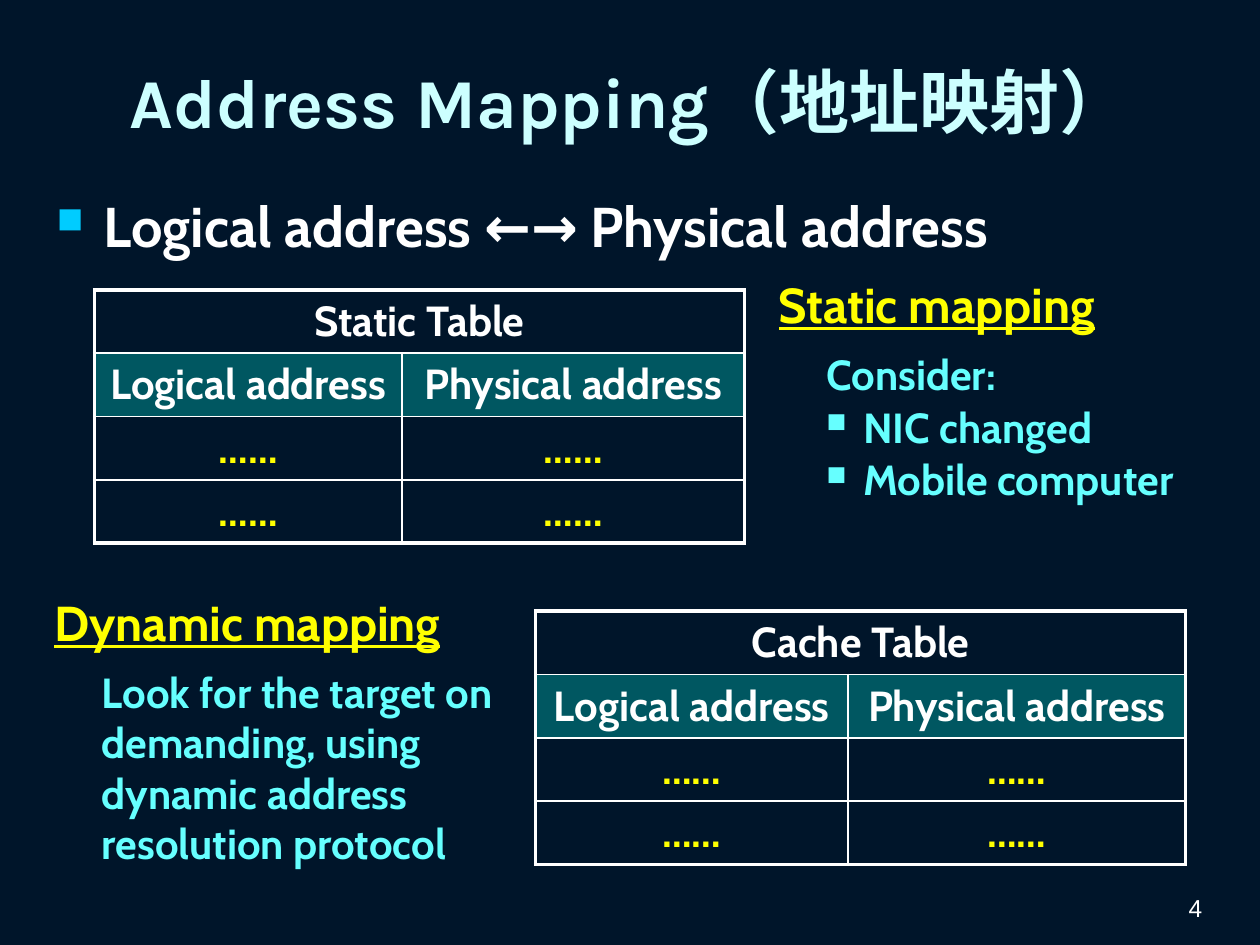
from dataclasses import dataclass
from typing import Any, Optional

import lxml.etree
import pptx
import pptx.dml.color
import pptx.enum.text
import pptx.oxml.ns
import pptx.util

Pt = pptx.util.Pt
qn = pptx.oxml.ns.qn
Align = pptx.enum.text.PP_ALIGN
Anchor = pptx.enum.text.MSO_ANCHOR
AutoSize = pptx.enum.text.MSO_AUTO_SIZE


@dataclass(frozen=True)
class Style:
    size: float
    color: str
    font: str = "Cabin"
    bold: bool = True
    underline: Optional[bool] = None


@dataclass(frozen=True)
class Theme:
    background: str = "00152A"
    line: str = "FFFFFF"
    header_fill: str = "009999"
    header_alpha: int = 50
    outer_width: float = 2.25
    inner_width: float = 1
    bullet_percent: int = 65
    body_bullet: str = "00CCFF"
    title: Style = Style(40, "CCFFFF", "Karla")
    body: Style = Style(32, "FFFFFF")
    heading: Style = Style(28, "FFFF00", underline=True)
    detail: Style = Style(24, "66FFFF")
    label: Style = Style(24, "FFFFFF")
    entry: Style = Style(24, "FFFF00")
    number: Style = Style(14, "FFFFFF", "Arial", bold=False)


THEME = Theme()


@dataclass(frozen=True)
class Line:
    text: str
    bullet: bool = False
    bullet_color: Optional[str] = None
    hang: float = 0
    space_before: float = 0


@dataclass(frozen=True)
class TextBlock:
    box: tuple[float, float, float, float]
    lines: tuple[Line, ...]
    style: Style
    align: Any = Align.LEFT
    anchor: Any = Anchor.TOP
    inset: bool = True
    grow: bool = False


@dataclass(frozen=True)
class MappingTable:
    title: str
    left: float
    top: float
    columns: tuple[float, float]
    row_height: float = 36.2


def rgb(value: str) -> pptx.dml.color.RGBColor:
    return pptx.dml.color.RGBColor.from_string(value)


def set_all(target: Any, values: dict[str, Any]) -> None:
    for name, value in values.items():
        setattr(target, name, value)


def add_xml(parent: Any, tag: str, **attributes: str) -> Any:
    return lxml.etree.SubElement(parent, qn(tag), attributes)


def write(paragraph: Any, text: str, style: Style, align: Any) -> None:
    paragraph.alignment = align
    run = paragraph.add_run()
    run.text = text
    set_all(run.font, {"name": style.font, "size": Pt(style.size),
                       "bold": style.bold, "underline": style.underline})
    run.font.color.rgb = rgb(style.color)


def format_line(paragraph: Any, line: Line) -> None:
    if line.space_before:
        paragraph.space_before = Pt(line.space_before)
    properties = paragraph._p.get_or_add_pPr()
    if line.hang:
        properties.set("marL", str(Pt(line.hang)))
        properties.set("indent", str(-Pt(line.hang)))
    if line.bullet:
        if line.bullet_color:
            add_xml(add_xml(properties, "a:buClr"), "a:srgbClr", val=line.bullet_color)
        add_xml(properties, "a:buSzPct", val=str(THEME.bullet_percent * 1000))
        add_xml(properties, "a:buChar", char="■")


def draw_text(slide: Any, block: TextBlock) -> None:
    frame = slide.shapes.add_textbox(*map(Pt, block.box)).text_frame
    set_all(frame, {"word_wrap": True, "vertical_anchor": block.anchor,
                    "auto_size": AutoSize.SHAPE_TO_FIT_TEXT if block.grow else AutoSize.NONE})
    if not block.inset:
        set_all(frame, {f"margin_{side}": 0 for side in ("left", "top", "right", "bottom")})
    for index, line in enumerate(block.lines):
        paragraph = frame.add_paragraph() if index else frame.paragraphs[0]
        write(paragraph, line.text, block.style, block.align)
        format_line(paragraph, line)


def draw_borders(cell: Any, outer_sides: dict[str, bool]) -> None:
    properties = cell._tc.get_or_add_tcPr()
    for side, outer in outer_sides.items():
        width = THEME.outer_width if outer else THEME.inner_width
        border = add_xml(properties, f"a:ln{side}", w=str(Pt(width)))
        add_xml(add_xml(border, "a:solidFill"), "a:srgbClr", val=THEME.line)


def draw_table(slide: Any, spec_table: MappingTable) -> None:
    rows = ((spec_table.title, ""), ("Logical address", "Physical address"),
            ("……", "……"), ("……", "……"))
    last_row, last_column = len(rows) - 1, len(spec_table.columns) - 1
    table = slide.shapes.add_table(
        len(rows), len(spec_table.columns), Pt(spec_table.left), Pt(spec_table.top),
        Pt(sum(spec_table.columns)), Pt(spec_table.row_height * len(rows))).table
    set_all(table, {"first_row": False, "horz_banding": False})
    for column, width in zip(table.columns, spec_table.columns):
        column.width = Pt(width)
    for row in table.rows:
        row.height = Pt(spec_table.row_height)
    table.cell(0, 0).merge(table.cell(0, last_column))

    for r, texts in enumerate(rows):
        for c, text in enumerate(texts):
            cell = table.cell(r, c)
            spans = cell.is_merge_origin
            draw_borders(cell, {"L": c == 0, "R": spans or c == last_column,
                                "T": r == 0, "B": r == last_row})
            cell.vertical_anchor = Anchor.MIDDLE if r < 2 else Anchor.TOP
            if r == 1:
                cell.fill.solid()
                cell.fill.fore_color.rgb = rgb(THEME.header_fill)
                color = cell._tc.tcPr.find(qn("a:solidFill")).find(qn("a:srgbClr"))
                add_xml(color, "a:alpha", val=str(THEME.header_alpha * 1000))
            else:
                cell.fill.background()
            if text:
                style = THEME.label if r < 2 else THEME.entry
                write(cell.text_frame.paragraphs[0], text, style, Align.CENTER)


# Text blocks
TEXTS = (
    TextBlock((526.3, 496.8, 167.8, 33.8), (Line("4"),), THEME.number,
              Align.RIGHT, Anchor.BOTTOM),
    TextBlock((25.2, 9.4, 668.9, 96.5), (Line("Address Mapping（地址映射）"),),
              THEME.title, Align.CENTER, Anchor.MIDDLE),
    TextBlock((25.2, 105.8, 668.9, 391),
              (Line("Logical address ←→ Physical address", True, THEME.body_bullet, 27),),
              THEME.body),
    TextBlock((445, 157, 207.4, 33.8), (Line("Static mapping"),), THEME.heading,
              inset=False, grow=True),
    TextBlock((31, 338.4, 223.9, 33.8), (Line("Dynamic mapping"),), THEME.heading,
              inset=False, grow=True),
    TextBlock((465.1, 195.8, 241.2, 96.5),
              (Line("Consider:", hang=21, space_before=1.2),
               Line("NIC changed", True, hang=21, space_before=1.2),
               Line("Mobile computer", True, hang=21, space_before=1.2)),
              THEME.detail, grow=True),
    TextBlock((51.1, 377.3, 244.1, 122.4),
              (Line("Look for the target on demanding, using dynamic address "
                    "resolution protocol"),),
              THEME.detail, grow=True),
)

# Mapping tables
TABLES = (
    MappingTable("Static Table", 54, 165.6, (175.7, 195.8)),
    MappingTable("Cache Table", 306, 349.2, (178.6, 193)),
)


def main() -> None:
    deck = pptx.Presentation()
    set_all(deck, {"slide_width": Pt(720), "slide_height": Pt(540)})
    slide = deck.slides.add_slide(deck.slide_layouts[6])
    slide.background.fill.solid()
    slide.background.fill.fore_color.rgb = rgb(THEME.background)
    for block in TEXTS:
        draw_text(slide, block)
    for mapping in TABLES:
        draw_table(slide, mapping)
    deck.save("out.pptx")


if __name__ == "__main__":
    main()
